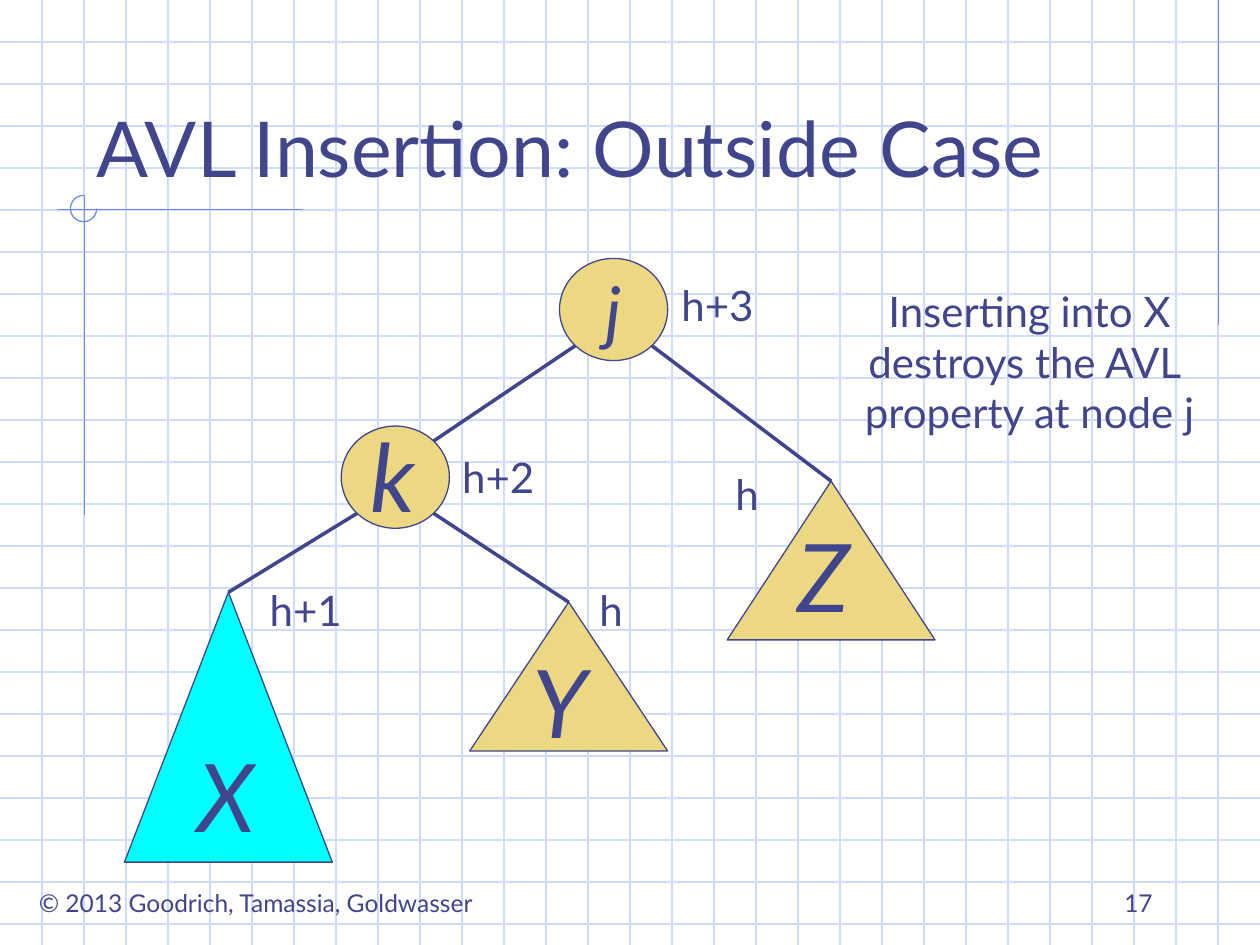
from math import sqrt

from lxml import etree
from pptx import Presentation
from pptx.dml.color import RGBColor
from pptx.enum import shapes, text
from pptx.oxml.ns import qn
from pptx.util import Cm, Pt

WIDTH, HEIGHT = 25.4, 19.05
GRID_STEP = WIDTH / 30

THEME = {
    "font": "Lato",
    "ink": "40458C", "grid": "CFDBFD", "accent": "6F89F7",
    "node": "ECD882", "inserted": "00FFFF",
    "title": 44, "root": 40, "letter": 54, "body": 24, "footer": 14,
    "thin": 0.75, "edge": 2,
}

# Boxes are (left, top, width, height) in centimetres.
TITLE = ("AVL Insertion: Outside Case", (1.7, 0.84, 21.59, 3.18))
ACCENT_LINES = [
    ((24.56, 0), (24.56, 6.55)),
    ((6.1, 4.22), (1.14, 4.22)),
    ((1.7, 3.94), (1.7, 10.39)),
]
ACCENT_ARC = (1.42, 3.94, 0.53, 0.53)

NODES = {
    "j": (11.28, 5.21, 2.18, 2.06),
    "k": (6.88, 8.59, 2.18, 2.06),
}
SUBTREES = {
    "X": ((2.51, 11.94, 4.19, 5.44), "inserted"),
    "Y": ((9.47, 12.14, 3.99, 3.0), "node"),
    "Z": ((14.66, 9.7, 4.19, 3.2), "node"),
}
# Parent, child and the side of the parent on which the child hangs
EDGES = [("j", "k", -1), ("k", "X", -1), ("k", "Y", 1), ("j", "Z", 1)]

LETTERS = [("k", 7.24, 8.31), ("X", 3.89, 14.76),
           ("Y", 10.62, 12.85), ("Z", 15.93, 10.31)]
HEIGHTS = [("h+3", 13.46, 5.51), ("h+2", 9.04, 8.97), ("h+1", 5.16, 11.66),
           ("h", 11.81, 11.66), ("h", 14.55, 9.32)]
NOTE = ("Inserting into X\ndestroys the AVL \nproperty at node j",
        (16.92, 5.64, 7.67, 3.3))
FOOTER = ("© 2013 Goodrich, Tamassia, Goldwasser", (0.23, 17.78, 9.86, 0.86))
PAGE = ("17", (18.21, 17.35, 5.28, 1.27))


def color(name):
    return RGBColor.from_string(THEME[name])


def write(shape, words, size, align=text.PP_ALIGN.CENTER,
          anchor=text.MSO_ANCHOR.TOP, wrap=False, italic=False):
    frame = shape.text_frame
    frame.text = words
    frame.word_wrap = wrap
    frame.auto_size = text.MSO_AUTO_SIZE.NONE
    frame.vertical_anchor = anchor
    for paragraph in frame.paragraphs:
        paragraph.alignment = align
        for run in paragraph.runs:
            run.font.name = THEME["font"]
            run.font.size = Pt(THEME[size])
            run.font.color.rgb = color("ink")
            run.font.italic = italic


def add_text(slide, words, box, size, **style):
    write(slide.shapes.add_textbox(*map(Cm, box)), words, size, **style)


def add_line(slide, start, end, line_color, weight="thin"):
    line = slide.shapes.add_connector(
        shapes.MSO_CONNECTOR.STRAIGHT, *map(Cm, (*start, *end)))
    line.line.color.rgb = color(line_color)
    line.line.width = Pt(THEME[weight])
    etree.SubElement(line._element.spPr, qn("a:effectLst"))
    return line


def add_shape(slide, preset, box, fill, line_color="ink"):
    shape = slide.shapes.add_shape(preset, *map(Cm, box))
    shape.shadow.inherit = False
    if fill:
        shape.fill.solid()
        shape.fill.fore_color.rgb = color(fill)
    else:
        shape.fill.background()
    shape.line.color.rgb = color(line_color)
    shape.line.width = Pt(THEME["thin"])
    return shape


def rim(box, side, down):
    """Point on an ellipse's diagonal; side and down are -1 or 1."""
    left, top, width, height = box
    return (left + width / 2 * (1 + side / sqrt(2)),
            top + height / 2 * (1 + down / sqrt(2)))


def add_background(slide):
    for row in range(1, 23):
        y = row * GRID_STEP
        add_line(slide, (0, y), (WIDTH, y), "grid")
    for column in range(1, 30):
        x = column * GRID_STEP
        add_line(slide, (x, 0), (x, HEIGHT), "grid")
    for start, end in ACCENT_LINES:
        add_line(slide, start, end, "accent")
    arc = add_shape(slide, shapes.MSO_SHAPE.ARC, ACCENT_ARC, None, "accent")
    arc.adjustments[0] = 0
    arc.adjustments[1] = 162  # 270 degrees


def add_tree(slide):
    circles = {name: add_shape(slide, shapes.MSO_SHAPE.OVAL, box, "node")
               for name, box in NODES.items()}
    write(circles["j"], "j", "root", italic=True,
          anchor=text.MSO_ANCHOR.MIDDLE)
    triangles = {
        name: add_shape(slide, shapes.MSO_SHAPE.ISOSCELES_TRIANGLE, box, fill)
        for name, (box, fill) in SUBTREES.items()}

    for parent, child, side in EDGES:
        start = rim(NODES[parent], side, 1)
        end = rim(NODES[child], -side, -1) if child in NODES else start
        edge = add_line(slide, start, end, "ink", "edge")
        if child in triangles:
            edge.end_connect(triangles[child], 0)

    for letter, x, y in LETTERS:
        add_text(slide, letter, (x, y, 1.35, 2.54), "letter", italic=True)
    for label, x, y in HEIGHTS:
        width = 2.01 if len(label) > 1 else 1.02
        add_text(slide, label, (x, y, width, 1.27), "body")


def main():
    deck = Presentation()
    deck.slide_width, deck.slide_height = Cm(WIDTH), Cm(HEIGHT)
    slide = deck.slides.add_slide(deck.slide_layouts[5])
    add_background(slide)

    title = slide.shapes.title
    words, box = TITLE
    title.left, title.top, title.width, title.height = map(Cm, box)
    write(title, words, "title", align=text.PP_ALIGN.LEFT,
          anchor=text.MSO_ANCHOR.BOTTOM, wrap=True)
    slide.shapes._spTree.append(title._element)  # in front of the grid

    add_tree(slide)
    add_text(slide, *NOTE, "body")
    add_text(slide, *FOOTER, "footer")
    add_text(slide, *PAGE, "footer", align=text.PP_ALIGN.RIGHT,
             anchor=text.MSO_ANCHOR.BOTTOM, wrap=True)
    deck.save("out.pptx")


if __name__ == "__main__":
    main()
